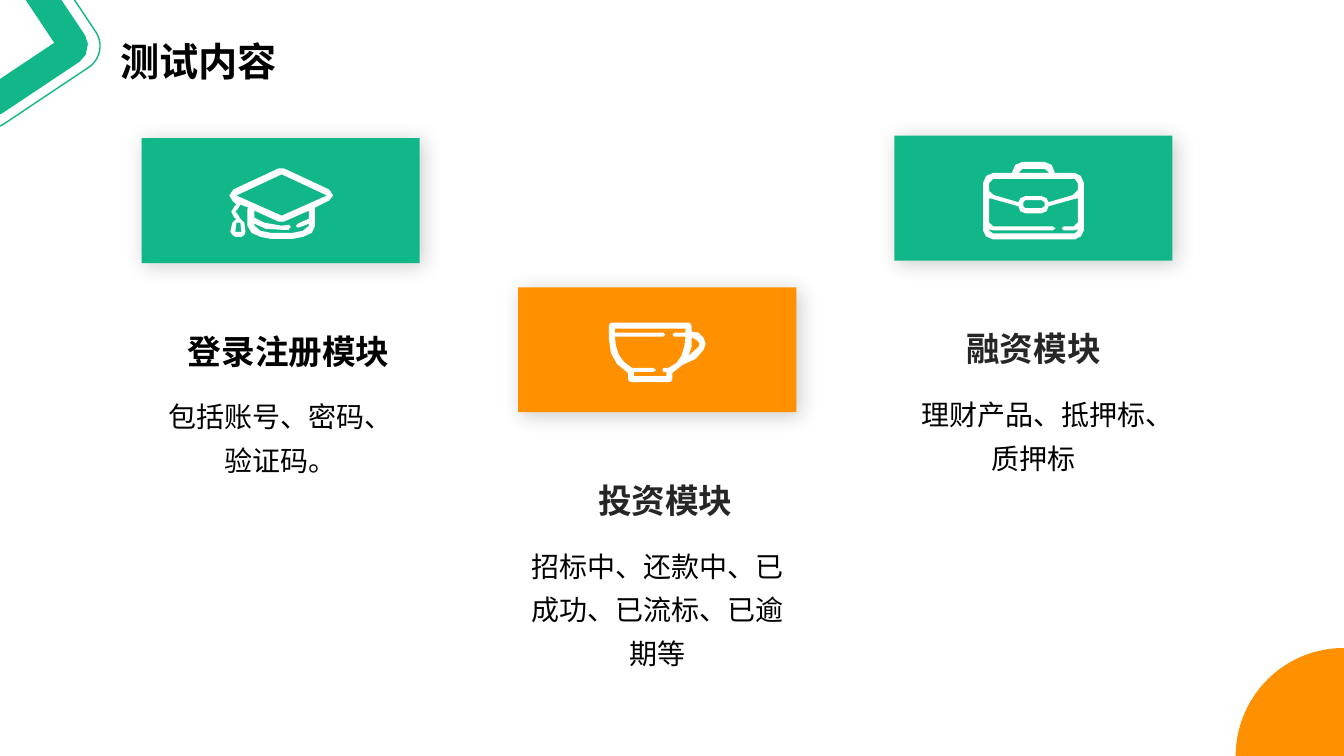
from dataclasses import dataclass

from lxml import etree
from pptx import Presentation
from pptx.dml.color import RGBColor
from pptx.enum.shapes import MSO_SHAPE
from pptx.enum.text import MSO_ANCHOR, MSO_AUTO_SIZE, PP_ALIGN
from pptx.oxml.ns import qn
from pptx.util import Cm, Pt

RECT, ROUND, OVAL = MSO_SHAPE.RECTANGLE, MSO_SHAPE.ROUNDED_RECTANGLE, MSO_SHAPE.OVAL
TOP, GROW, FIXED = MSO_ANCHOR.TOP, MSO_AUTO_SIZE.SHAPE_TO_FIT_TEXT, MSO_AUTO_SIZE.NONE
LEFT, CENTER = PP_ALIGN.LEFT, PP_ALIGN.CENTER


@dataclass(frozen=True)
class Theme:
    font: str = "Noto Sans CJK SC"
    green: str = "12B789"
    orange: str = "FF9101"
    black: str = "000000"
    gray: str = "262626"
    white: str = "FFFFFF"
    title: int = 28
    head: int = 24
    body: int = 20


T = Theme()
TITLE = "测试内容"

# Each icon is an outline followed by its holes; points are hundredths of
# an inch from the top left corner of the card.
CAP = [
    [(186, 51), (141, 30), (139, 30), (136, 30), (91, 51), (87, 57), (90, 62),
     (94, 66), (92, 68), (89, 73), (92, 79), (94, 80), (90, 84), (88, 93),
     (90, 96), (93, 98), (99, 98), (102, 96), (103, 93), (102, 84), (98, 80),
     (95, 75), (93, 73), (95, 71), (98, 66), (106, 69), (105, 70), (105, 87),
     (109, 94), (118, 98), (128, 100), (139, 100), (150, 100), (160, 98),
     (169, 94), (172, 87), (172, 69), (186, 62), (190, 57)],
    [(93, 93), (94, 84), (98, 84), (99, 93)],
    [(166, 80), (157, 84), (155, 85), (153, 87), (155, 89), (158, 88), (166, 85),
     (166, 87), (160, 92), (150, 94), (139, 94), (128, 94), (118, 92), (112, 87),
     (112, 85), (123, 90), (139, 91), (146, 91), (148, 88), (146, 86), (139, 87),
     (122, 84), (112, 79), (112, 72), (136, 83), (141, 83), (166, 72)],
    [(139, 77), (94, 57), (139, 36), (184, 57)],
]
CUP = [
    [(184, 50), (179, 45), (173, 44), (172, 44), (172, 38), (171, 36), (169, 35),
     (93, 35), (91, 36), (90, 38), (90, 51), (92, 65), (98, 76), (109, 85),
     (109, 91), (110, 93), (112, 94), (150, 94), (152, 93), (153, 91), (153, 85),
     (163, 77), (176, 71), (184, 62), (186, 56)],
    [(149, 80), (144, 80), (143, 82), (144, 84), (147, 84), (147, 88), (115, 88),
     (115, 84), (134, 84), (137, 82), (134, 80), (113, 80), (105, 74), (100, 67),
     (97, 58), (96, 49), (144, 49), (146, 47), (144, 45), (96, 45), (96, 41),
     (166, 41), (166, 45), (155, 45), (153, 47), (155, 49), (166, 49), (165, 58),
     (162, 68), (157, 75)],
    [(179, 59), (169, 68), (172, 59), (172, 50), (173, 50), (178, 53), (180, 56)],
]
CASE = [
    [(179, 37), (159, 37), (159, 36), (156, 29), (149, 26), (127, 26), (120, 29),
     (117, 36), (117, 37), (98, 37), (91, 40), (88, 47), (88, 94), (91, 100),
     (98, 103), (179, 103), (185, 100), (188, 94), (188, 47), (185, 40)],
    [(124, 36), (127, 33), (149, 33), (153, 36), (153, 37), (124, 37)],
    [(98, 43), (179, 43), (182, 47), (182, 54), (177, 59), (153, 66), (151, 62),
     (146, 60), (130, 60), (125, 62), (123, 66), (99, 59), (94, 55), (94, 47)],
    [(149, 66), (149, 70), (146, 72), (130, 72), (128, 70), (128, 66), (130, 64),
     (146, 64)],
    [(179, 97), (98, 97), (94, 94), (94, 93), (98, 94), (157, 94), (160, 92),
     (157, 90), (98, 90), (94, 86), (94, 62), (98, 63), (123, 70), (125, 75),
     (130, 77), (146, 77), (151, 75), (153, 70), (178, 63), (182, 62), (182, 86),
     (178, 90), (168, 90), (166, 92), (168, 94), (178, 94), (182, 93), (182, 94)],
]

# left, top, fill, icon, heading, heading colour, heading shift, text, text width
CARDS = [
    (3.57, 3.48, T.green, CAP, "登录注册模块", T.black, 0.2,
     "包括账号、密码、验证码。", 6.45),
    (13.06, 7.24, T.orange, CUP, "投资模块", T.gray, 0.2,
     "招标中、还款中、已成功、已流标、已逾期等", 7.01),
    (22.54, 3.42, T.green, CASE, "融资模块", T.gray, 0,
     "理财产品、抵押标、质押标", 6.45),
]
WIDE, HIGH = 7.01, 3.15
HEAD = (4.73, 6.1, 1.27)  # drop below card top, width, height
BODY = (6.22, 2.46)  # drop below card top, height
UNIT = 0.0254  # one icon unit in cm

# box, corner share, line width
FRAMES = [
    ((-1.82, -1.08, 3.86, 3.81), 0.17, 1),
    ((-1.17, -0.43, 2.57, 2.54), 0.06, 21.25),
]
TURN = 326.3
DISC = (31.14, 16.33, 5.44, 5.46)


def rgb(code):
    return RGBColor.from_string(code)


def write(shape, text, size, color, bold=False, align=CENTER, space=None, fit=GROW):
    frame = shape.text_frame
    frame.text = text
    frame.word_wrap = True
    frame.auto_size = fit
    frame.vertical_anchor = TOP
    para = frame.paragraphs[0]
    para.alignment = align
    para.line_spacing = space
    font = para.runs[0].font
    font.size, font.bold, font.name = Pt(size), bold, T.font
    font.color.rgb = rgb(color)
    props = para.runs[0]._r.get_or_add_rPr()
    etree.SubElement(props, qn("a:ea"), typeface=T.font)


def paint(shape, fill=None):
    shape.shadow.inherit = False
    if fill:
        shape.fill.solid()
        shape.fill.fore_color.rgb = rgb(fill)
    else:
        shape.fill.background()
    shape.line.fill.background()
    return shape


def draw(shapes, kind, box, fill=None):
    return paint(shapes.add_shape(kind, *map(Cm, box)), fill)


def edge(shape, color, width):
    """Give the shape a line with mitred joins."""
    shape.line.color.rgb = rgb(color)
    shape.line.width = Pt(width)
    line = shape._element.spPr.find(qn("a:ln"))
    etree.SubElement(line, qn("a:miter"), lim="800000")


def shade(shape):
    """Add a soft shadow towards the lower right."""
    props = shape._element.spPr
    glow = etree.SubElement(
        props.find(qn("a:effectLst")), qn("a:outerShdw"), blurRad=str(Pt(15)),
        dist=str(Pt(3)), dir="2700000", algn="tl", rotWithShape="0")
    tone = etree.SubElement(glow, qn("a:srgbClr"), val=T.black)
    etree.SubElement(tone, qn("a:alpha"), val="20000")


def trace(shapes, left, top, icon):
    """Draw all outlines of an icon as one white shape."""
    pen = None
    for ring in icon:
        dots = [(Cm(left + x * UNIT), Cm(top + y * UNIT)) for x, y in ring]
        if pen:
            pen.move_to(*dots[0])
        else:
            pen = shapes.build_freeform(*dots[0])
        pen.add_line_segments(dots[1:], close=True)
    paint(pen.convert_to_shape(), T.white)


def card(shapes, left, top, fill, icon, head, color, shift, text, width):
    shade(draw(shapes, RECT, (left, top, WIDE, HIGH), fill))
    trace(shapes, left, top, icon)
    mid = left + WIDE / 2
    drop, wide, high = HEAD
    box = (mid + shift - wide / 2, top + drop, wide, high)
    write(shapes.add_textbox(*map(Cm, box)), head, T.head, color, bold=True)
    drop, high = BODY
    box = (mid - width / 2, top + drop, width, high)
    write(shapes.add_textbox(*map(Cm, box)), text, T.body, T.black, space=1.3)


def main():
    deck = Presentation()
    deck.slide_width, deck.slide_height = Cm(33.87), Cm(19.05)
    slide = deck.slides.add_slide(deck.slide_layouts[5])
    shapes = slide.shapes

    draw(shapes, OVAL, DISC, T.orange)
    title = shapes.title
    title.left, title.top, title.width, title.height = map(Cm, (2.78, 0.81, 6.65, 1.45))
    write(title, TITLE, T.title, T.black, bold=True, align=LEFT, fit=FIXED)
    for box, bevel, width in FRAMES:
        frame = draw(shapes, ROUND, box)
        frame.adjustments[0] = bevel
        frame.rotation = TURN
        edge(frame, T.green, width)
    for item in CARDS:
        card(shapes.add_group_shape().shapes, *item)
    deck.save("out.pptx")


if __name__ == "__main__":
    main()
